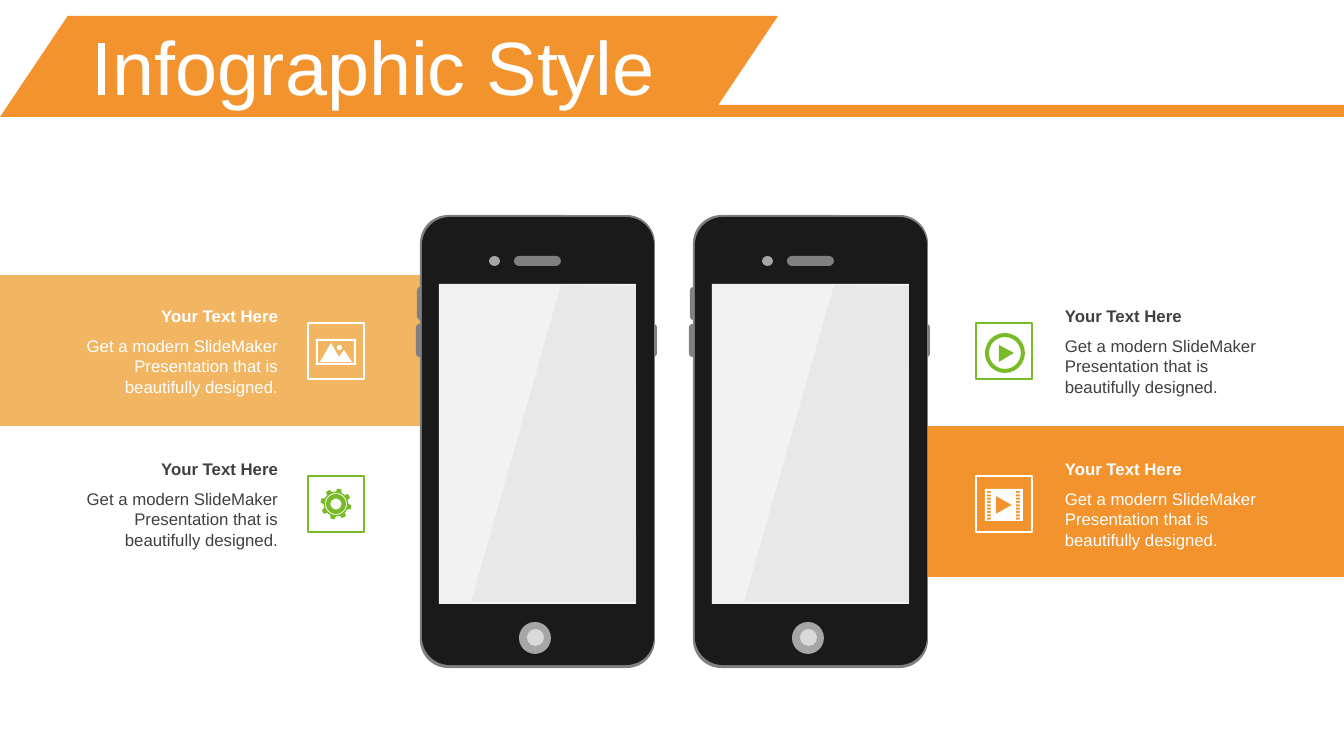
from math import cos, radians, sin

from lxml.etree import SubElement
from pptx import Presentation
from pptx.dml.color import RGBColor
from pptx.enum.shapes import MSO_SHAPE
from pptx.enum.text import MSO_ANCHOR, PP_ALIGN
from pptx.oxml.ns import qn
from pptx.util import Emu, Pt

EMU_PER_PX = 914400 / 100.8
FONT = "Arial"
COLORS = {
    "orange": "F3932D",
    "sand": "F2B662",
    "green": "79BA27",
    "white": "FFFFFF",
    "text": "404040",
    "black": "1A1A1A",
    "edge": "808080",
    "glass": "F2F2F2",
    "glare": "999999",
    "metal": "A6A6A6",
    "light": "D9D9D9",
}
PHONE_STEP = 273
ROW_STEP = 153
HEADING = "Your Text Here"
BODY = "Get a modern SlideMaker Presentation that is beautifully designed."


def px(value):
    return Emu(round(value * EMU_PER_PX))


def rgb(name):
    return RGBColor.from_string(COLORS[name])


def paint(shape, color):
    shape.shadow.inherit = False
    shape.fill.solid()
    shape.fill.fore_color.rgb = rgb(color)
    shape.line.fill.background()


def add_filled(shapes, kind, left, top, width, height, color, adjust=None):
    shape = shapes.add_shape(kind, px(left), px(top), px(width), px(height))
    paint(shape, color)
    if adjust is not None:
        shape.adjustments[0] = adjust
    return shape


def add_outline(shapes, contours, color):
    """Draw closed polygons as one shape; inner contours become holes."""
    scaled = [[(px(x), px(y)) for x, y in contour] for contour in contours]
    builder = shapes.build_freeform(*scaled[0][0], scale=1.0)
    for index, contour in enumerate(scaled):
        if index:
            builder.move_to(*contour[0])
        builder.add_line_segments(contour[1:], close=True)
    shape = builder.convert_to_shape()
    paint(shape, color)
    return shape


def box(left, top, width, height):
    right, bottom = left + width, top + height
    return [(left, top), (right, top), (right, bottom), (left, bottom)]


def polar(center_x, center_y, radius, degrees):
    angle = radians(degrees)
    return center_x + radius * cos(angle), center_y + radius * sin(angle)


def add_text(shapes, left, top, width, height, text, size, color,
             bold=False, align=PP_ALIGN.LEFT, anchor=MSO_ANCHOR.MIDDLE):
    text_box = shapes.add_textbox(px(left), px(top), px(width), px(height))
    frame = text_box.text_frame
    frame.word_wrap = True
    frame.vertical_anchor = anchor
    paragraph = frame.paragraphs[0]
    paragraph.alignment = align
    run = paragraph.add_run()
    run.text = text
    run.font.name = FONT
    run.font.size = Pt(size)
    run.font.bold = bold
    run.font.color.rgb = rgb(color)
    return frame


def add_header(shapes):
    add_filled(shapes, MSO_SHAPE.RECTANGLE, 672, 105, 672, 12, "orange")
    add_filled(shapes, MSO_SHAPE.PARALLELOGRAM, 0, 16, 778, 101, "orange", 0.67)
    frame = add_text(shapes, 82, 31, 1234, 79, "Infographic Style", 54, "white")
    frame.margin_top = frame.margin_bottom = 0
    frame.paragraphs[0].line_spacing = 0.9


def add_phone(slide, left):
    shapes = slide.shapes.add_group_shape().shapes
    rounded, oval = MSO_SHAPE.ROUNDED_RECTANGLE, MSO_SHAPE.OVAL
    # Side buttons
    for x, y in ((1, 287), (0, 324), (234, 324)):
        add_filled(shapes, rounded, left + x, y, 7, 33, "edge", 0.5)
    # Case and screen
    add_filled(shapes, rounded, left + 4, 215, 235, 453, "edge", 0.12)
    add_filled(shapes, rounded, left + 6, 217, 232, 448, "black", 0.12)
    add_filled(shapes, MSO_SHAPE.RECTANGLE, left + 23, 284, 197, 320, "glass")
    # Home button
    add_filled(shapes, oval, left + 103, 622, 32, 32, "metal")
    add_filled(shapes, oval, left + 111, 629, 17, 17, "light")
    # Glare on the glass
    corners = ((145, 285), (220, 286), (221, 602), (55, 602))
    glare = add_outline(shapes, [[(left + x, y) for x, y in corners]], "glare")
    color = glare.element.spPr.find(f"{qn('a:solidFill')}/{qn('a:srgbClr')}")
    SubElement(color, qn("a:alpha")).set("val", "10000")
    # Speaker and camera
    add_filled(shapes, rounded, left + 98, 256, 47, 10, "edge", 0.5)
    add_filled(shapes, oval, left + 73, 256, 11, 10, "metal")


def add_item(shapes, text_left, frame_left, row, align, text_color, frame_color):
    top = 301 + row * ROW_STEP
    add_text(shapes, text_left, top, 222, 30, HEADING, 12, text_color,
             bold=True, align=align)
    add_text(shapes, text_left, top + 30, 222, 72, BODY, 12, text_color,
             align=align, anchor=MSO_ANCHOR.TOP)
    frame = shapes.add_shape(MSO_SHAPE.RECTANGLE, px(frame_left), px(top + 22),
                             px(56), px(56))
    frame.shadow.inherit = False
    frame.fill.background()
    frame.line.color.rgb = rgb(frame_color)
    frame.line.width = Pt(1.5)


def add_picture_icon(shapes):
    add_outline(shapes, [
        box(316, 339, 40, 26),
        box(318, 341, 36, 22),
        [(331, 343), (339, 357), (344, 350), (352, 362), (320, 362)],
    ], "white")
    add_filled(shapes, MSO_SHAPE.OVAL, 337, 345, 5, 5, "white")


def add_gear_icon(shapes):
    x, y = 336, 504
    teeth = []
    for tooth in range(8):
        middle = 13 + 45 * tooth
        for radius, offset in ((12.5, -13), (15.5, -8), (15.5, 8), (12.5, 13)):
            teeth.append(polar(x, y, radius, middle + offset))
    hole = [polar(x, y, 11, degrees) for degrees in range(0, 360, 10)]
    add_outline(shapes, [teeth, hole], "green")
    add_filled(shapes, MSO_SHAPE.DONUT, x - 10, y - 10, 20, 20, "green", 0.22)


def add_play_icon(shapes):
    add_filled(shapes, MSO_SHAPE.DONUT, 985, 333, 40, 40, "green", 0.1)
    add_outline(shapes, [[(999, 345), (1014, 353), (999, 362)]], "green")


def add_film_icon(shapes):
    holes = [box(x, 491 + row * 10 / 3, 4, 2)
             for row in range(9) for x in (987, 1016)]
    triangle = [(996, 496), (1012, 505), (996, 514)]
    add_outline(shapes, [box(985, 489, 38, 32), triangle, *holes], "white")


def main():
    presentation = Presentation()
    presentation.slide_width = px(1344)
    presentation.slide_height = px(756)
    slide = presentation.slides.add_slide(presentation.slide_layouts[6])
    shapes = slide.shapes

    # Colour bands behind the phones
    add_filled(shapes, MSO_SHAPE.RECTANGLE, 0, 275, 538, 151, "sand")
    add_filled(shapes, MSO_SHAPE.RECTANGLE, 807, 426, 537, 151, "orange")

    for index in range(2):
        add_phone(slide, 416 + index * PHONE_STEP)
    add_header(shapes)

    # Texts with icon frames: left column, then right column
    left_side = (66, 308)
    right_side = (1055, 976)
    add_item(shapes, *left_side, 0, PP_ALIGN.RIGHT, "white", "white")
    add_item(shapes, *left_side, 1, PP_ALIGN.RIGHT, "text", "green")
    add_item(shapes, *right_side, 0, PP_ALIGN.LEFT, "text", "green")
    add_item(shapes, *right_side, 1, PP_ALIGN.LEFT, "white", "white")

    # Icons
    add_picture_icon(shapes)
    add_gear_icon(shapes)
    add_play_icon(shapes)
    add_film_icon(shapes)

    presentation.save("out.pptx")


if __name__ == "__main__":
    main()
